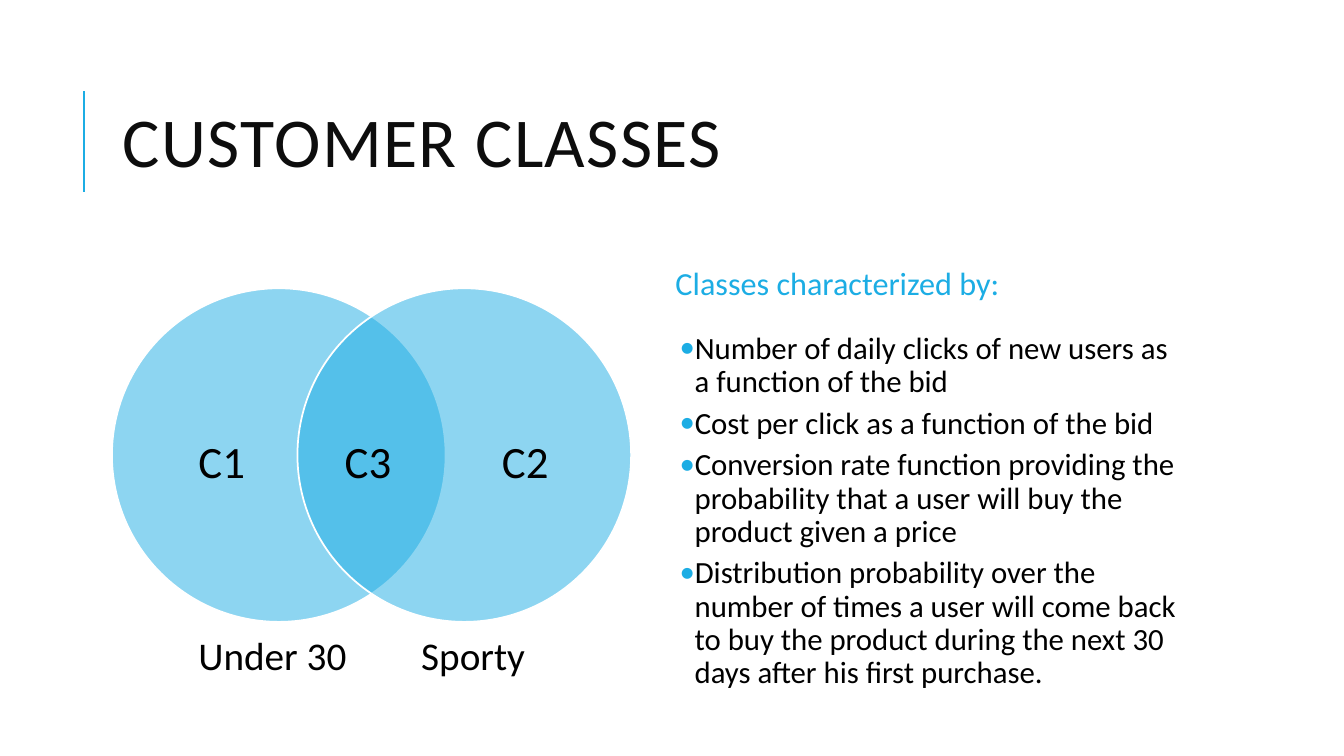
from lxml import etree
from pptx import Presentation
from pptx import util as u
from pptx.dml.color import RGBColor
from pptx.enum import shapes, text
from pptx.oxml.ns import qn

# Content
TITLE = "CUSTOMER CLASSES"
HEADING = "Classes characterized by:"
TRAITS = [
    "Number of daily clicks of new users as a function of the bid",
    "Cost per click as a function of the bid",
    "Conversion rate function providing the probability that a user will buy the product given a price",
    "Distribution probability over the number of times a user will come back "
    "to buy the product during the next 30 days after his first purchase.",
]
REGIONS = [("C1", 1.87), ("C3", 3.32), ("C2", 4.88)]  # label, left
CAPTIONS = [("Under 30", 1.87, 1.78), ("Sporty", 4.08, 1.36)]  # label, left, width

# Layout in inches
WIDTH, HEIGHT = 13.33, 7.5
DIAMETER, CIRCLE_LEFT, CIRCLE_TOP, CIRCLE_STEP = 3.31, 1.11, 2.86, 1.84
COLUMN_LEFT, COLUMN_WIDTH = 6.55, 5.2
REGION_TOP, CAPTION_TOP = 4.25, 6.21
RULE_LEFT, RULE_TOP, RULE_BOTTOM = 0.83, 0.9, 1.9
FONT, ACCENT, BLACK, WHITE = "Calibri", "1CADE4", "000000", "FFFFFF"

presentation = Presentation()
presentation.slide_width = u.Inches(WIDTH)
presentation.slide_height = u.Inches(HEIGHT)
slide = presentation.slides.add_slide(presentation.slide_layouts[6])


def color(value):
    return RGBColor.from_string(value)


def add_bullet(paragraph):
    properties = paragraph._p.get_or_add_pPr()
    properties.set("marL", str(u.Inches(0.29)))
    properties.set("indent", str(u.Inches(-0.15)))
    bullet_color = etree.SubElement(properties, qn("a:buClr"))
    etree.SubElement(bullet_color, qn("a:srgbClr"), val=ACCENT)
    etree.SubElement(properties, qn("a:buFont"), typeface=FONT)
    etree.SubElement(properties, qn("a:buChar"), char="•")


def add_text(lines, left, top, width, height, *, size, fill=BLACK, anchor="TOP",
             side=0.1, spacing=1.0, tracking=0, bullets=False):
    box = slide.shapes.add_textbox(*map(u.Inches, (left, top, width, height)))
    frame = box.text_frame
    frame.word_wrap = True
    frame.vertical_anchor = text.MSO_ANCHOR[anchor]
    frame.margin_left = frame.margin_right = u.Inches(side)
    frame.margin_top = frame.margin_bottom = u.Inches(0.05)
    for index, line in enumerate(lines):
        paragraph = frame.add_paragraph() if index else frame.paragraphs[0]
        if bullets:
            add_bullet(paragraph)
            paragraph.space_before = u.Pt(2 if index else 0)
            paragraph.space_after = u.Pt(4)
        paragraph.line_spacing = spacing
        run = paragraph.add_run()
        run.text = line
        run.font.name = FONT
        run.font.size = u.Pt(size)
        run.font.color.rgb = color(fill)
        if tracking:
            run._r.get_or_add_rPr().set("spc", str(tracking * 100))


# Accent rule beside the title
rule = slide.shapes.add_connector(
    shapes.MSO_CONNECTOR.STRAIGHT,
    *map(u.Inches, (RULE_LEFT, RULE_BOTTOM, RULE_LEFT, RULE_TOP)))
rule.line.color.rgb = color(ACCENT)
rule.line.width = u.Pt(1.5)
etree.SubElement(rule._element.spPr, qn("a:effectLst"))

# Overlapping circles
venn = slide.shapes.add_group_shape()
for index in range(2):
    circle = venn.shapes.add_shape(
        shapes.MSO_SHAPE.OVAL,
        *map(u.Inches, (CIRCLE_LEFT + index * CIRCLE_STEP, CIRCLE_TOP, DIAMETER, DIAMETER)))
    circle.shadow.inherit = False
    circle.fill.solid()
    circle.fill.fore_color.rgb = color(ACCENT)
    fill_color = circle._element.spPr.find(qn("a:solidFill"))[0]
    etree.SubElement(fill_color, qn("a:alpha"), val="50000")
    circle.line.color.rgb = color(WHITE)
    circle.line.width = u.Pt(1.25)

# Title and right column
add_text([TITLE], 1.12, 0.64, 10.63, 1.64, size=50, fill="0D0D0D",
         anchor="MIDDLE", spacing=0.8, tracking=1)
add_text([HEADING], COLUMN_LEFT, 2.38, COLUMN_WIDTH, 0.9, size=23, fill=ACCENT,
         anchor="MIDDLE", side=0.15, spacing=0.9)
add_text(TRAITS, COLUMN_LEFT, 3.25, COLUMN_WIDTH, 3.65, size=22, side=0.05,
         spacing=0.9, bullets=True)

# Diagram labels
for label, left in REGIONS:
    add_text([label], left, REGION_TOP, 0.8, 0.64, size=32)
for label, left, width in CAPTIONS:
    add_text([label], left, CAPTION_TOP, width, 0.57, size=28)

presentation.save("out.pptx")
